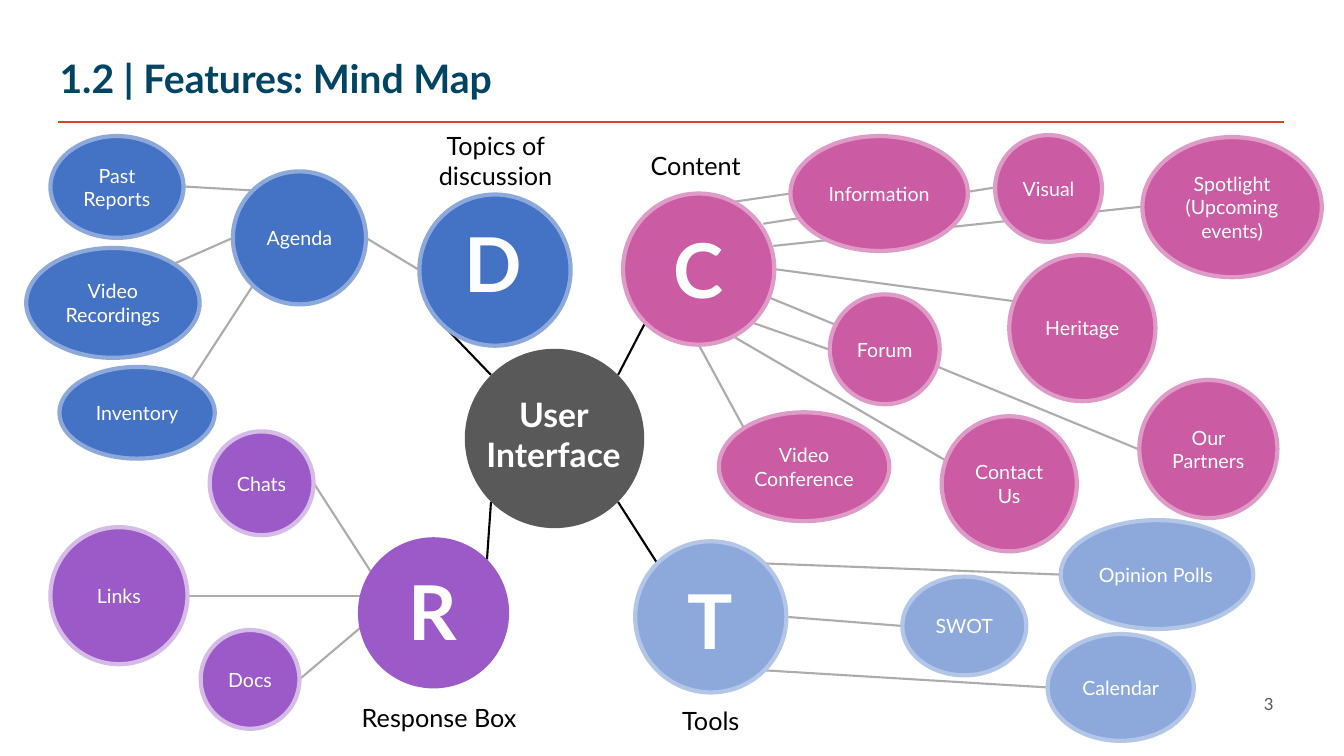
"""Builds the mind map slide of user interface features."""
from dataclasses import dataclass

from pptx import Presentation
from pptx.dml.color import RGBColor
from pptx.enum.shapes import MSO_CONNECTOR, MSO_SHAPE
from pptx.enum.text import MSO_ANCHOR, MSO_AUTO_SIZE, PP_ALIGN
from pptx.oxml.ns import qn
from pptx.util import Inches, Pt

LEFT, CENTER, RIGHT = PP_ALIGN.LEFT, PP_ALIGN.CENTER, PP_ALIGN.RIGHT
MIDDLE, TOP = MSO_ANCHOR.MIDDLE, MSO_ANCHOR.TOP
GROW, FIXED = MSO_AUTO_SIZE.SHAPE_TO_FIT_TEXT, MSO_AUTO_SIZE.NONE
OVAL, STRAIGHT = MSO_SHAPE.OVAL, MSO_CONNECTOR.STRAIGHT
TITLE_ONLY = 5


@dataclass(frozen=True)
class Theme:
    """Fonts, colours and type sizes of the slide."""
    font: str = "Lato"
    navy: str = "004464"
    red: str = "D24726"
    black: str = "000000"
    white: str = "FFFFFF"
    cream: str = "FEFEFE"
    gray: str = "595959"
    link: str = "AEABAB"
    blue: tuple = ("4472C4", "8DA9DB")
    pink: tuple = ("CB5BA3", "DF9BC7")
    sky: tuple = ("8DA9DB", "B3C6E7")
    plum: tuple = ("9B5AC8", "D6BBE9")
    title: int = 28
    core: int = 24
    hub: int = 54
    label: int = 18
    node: int = 14
    small: int = 12


class Map:
    """Draws the parts of a mind map on one slide."""

    def __init__(self, deck, theme):
        self.theme = theme
        self.slide = deck.slides.add_slide(deck.slide_layouts[TITLE_ONLY])
        self.shapes = self.slide.shapes

    def fill_text(self, frame, text, size, color, bold=False, align=CENTER,
                  anchor=MIDDLE, fit=FIXED):
        look = {"word_wrap": True, "auto_size": fit, "vertical_anchor": anchor}
        for key, value in look.items():
            setattr(frame, key, value)
        frame.text = text
        style = {"name": self.theme.font, "size": Pt(size), "bold": bold}
        for para in frame.paragraphs:
            para.alignment = align
            for run in para.runs:
                for key, value in style.items():
                    setattr(run.font, key, value)
                run.font.color.rgb = RGBColor.from_string(color)

    def title(self, text, box):
        shape = self.shapes.title
        sides = zip(("left", "top", "width", "height"), box)
        for key, value in sides:
            setattr(shape, key, Inches(value))
        self.fill_text(shape.text_frame, text, self.theme.title,
                       self.theme.navy, bold=True, align=LEFT)
        shape.text_frame.paragraphs[0].line_spacing = 0.9

    def line(self, ends, color, width=1.5):
        link = self.shapes.add_connector(STRAIGHT, *map(Inches, ends))
        link.line.color.rgb = RGBColor.from_string(color)
        link.line.width = Pt(width)
        props = link._element.spPr
        props.append(props.makeelement(qn("a:effectLst"), {}))

    def node(self, box, fill, edge=None, text="", align=CENTER):
        shape = self.shapes.add_shape(OVAL, *map(Inches, box))
        shape.shadow.inherit = False
        shape.fill.solid()
        shape.fill.fore_color.rgb = RGBColor.from_string(fill)
        if edge:
            shape.line.color.rgb = RGBColor.from_string(edge)
            shape.line.width = Pt(3)
        else:
            shape.line.fill.background()
        if text:
            self.fill_text(shape.text_frame, text, self.theme.node,
                           self.theme.white, align=align)

    def label(self, text, box, size, color, bold=False, align=CENTER,
              anchor=TOP, fit=GROW):
        shape = self.shapes.add_textbox(*map(Inches, box))
        self.fill_text(shape.text_frame, text, size, color, bold, align,
                       anchor, fit)


LINKS = [
    (3.63, 2.36, 4.16, 2.68), (1.82, 1.85, 2.51, 1.89),
    (1.72, 2.62, 2.31, 2.36), (1.9, 3.77, 2.51, 2.83),
    (1.86, 5.91, 3.58, 5.91), (2.97, 6.74, 3.63, 6.18),
    (3.11, 4.79, 3.69, 5.69), (10.07, 2.99, 7.68, 2.67),
    (9.45, 4.61, 7.26, 3.33), (11.3, 4.46, 7.6, 2.94),
    (9.87, 1.86, 7.57, 2.22), (11.33, 2.05, 7.67, 2.44),
    (8.23, 3.47, 7.46, 3.2), (7.38, 4.25, 6.93, 3.42),
    (7.84, 1.92, 7.29, 2), (10.52, 5.7, 7.58, 5.59),
    (8.95, 6.21, 7.8, 6.12), (10.39, 6.82, 7.58, 6.65),
]
SPOKES = [
    (4.87, 3.72, 4.38, 3.21), (4.87, 4.98, 4.83, 5.55),
    (6.13, 4.98, 6.52, 5.59), (6.4, 3.2, 6.13, 3.72),
]
LABELS = [
    ("Topics of discussion", (3.82, 1.24, 2.19, 0.71)),
    ("Content", (6.15, 1.44, 1.5, 0.4)),
    ("Tools", (6.17, 6.95, 1.76, 0.4)),
    ("Response Box", (3.4, 6.92, 1.91, 0.4)),
]
NODES = {
    "blue": [
        ("Agenda", (2.31, 1.7, 1.32, 1.32)),
        ("Past Reports", (0.5, 1.35, 1.32, 1.01)),
        ("Video Recordings", (0.26, 2.46, 1.72, 1.09)),
        ("Inventory", (0.59, 3.64, 1.54, 0.91)),
    ],
    "plum": [
        ("Chats", (2.08, 4.28, 1.03, 1.03)),
        ("Links", (0.5, 5.23, 1.36, 1.36)),
        ("Docs", (1.99, 6.25, 0.98, 0.98)),
    ],
    "pink": [
        ("Information", (7.84, 1.35, 1.76, 1.14)),
        ("Visual", (9.87, 1.34, 1.06, 1.06)),
        ("Spotlight\n(Upcoming events)", (11.33, 1.36, 1.78, 1.39)),
        ("Heritage", (10.01, 2.53, 1.45, 1.45)),
        ("Forum", (8.23, 2.92, 1.09, 1.09)),
        ("Our Partners", (11.3, 3.77, 1.37, 1.37)),
        ("Contact Us", (9.34, 4.13, 1.34, 1.34)),
        ("Video Conference", (7.13, 4.09, 1.69, 1.08)),
    ],
    "sky": [
        ("Opinion Polls", (10.52, 5.16, 1.91, 1.08), LEFT),
        ("SWOT", (8.95, 5.72, 1.23, 0.98)),
        ("Calendar", (10.39, 6.29, 1.45, 1.06)),
    ],
}
HUBS = [
    ("D", "blue", (4.16, 1.93), (4.51, 2.1, 0.67, 1.01), True),
    ("C", "pink", (6.18, 1.92), (6.58, 2.16, 0.68, 1.01), True),
    ("R", "plum", (3.55, 5.33), (3.94, 5.55, 0.7, 1.01), False),
    ("T", "sky", (6.3, 5.37), (6.72, 5.64, 0.65, 1.01), True),
]


def main():
    deck = Presentation()
    deck.slide_width, deck.slide_height = Inches(13.33), Inches(7.5)
    theme = Theme()
    chart = Map(deck, theme)

    chart.line((0.58, 1.21, 12.74, 1.21), theme.red, 2)
    chart.title("1.2 | Features: Mind Map", (0.49, 0.45, 10, 0.7))
    for ends in LINKS:
        chart.line(ends, theme.link)
    for ends in SPOKES:
        chart.line(ends, theme.black)
    for text, box in LABELS:
        chart.label(text, box, theme.label, theme.black)

    chart.node((4.61, 3.46, 1.78, 1.78), theme.gray)
    chart.label("User Interface", (4.6, 3.86, 1.78, 0.91), theme.core,
                theme.white, bold=True)
    for name, group in NODES.items():
        fill, edge = getattr(theme, name)
        for text, box, *align in group:
            chart.node(box, fill, edge, text, *align)
    for text, name, spot, box, ring in HUBS:
        fill, edge = getattr(theme, name)
        chart.node((*spot, 1.5, 1.5), fill, edge if ring else None)
        chart.label(text, box, theme.hub, theme.cream, bold=True)
    chart.label("3", (12.38, 6.78, 0.35, 0.4), theme.small, theme.gray,
                align=RIGHT, anchor=MIDDLE, fit=FIXED)
    deck.save("out.pptx")


if __name__ == "__main__":
    main()
